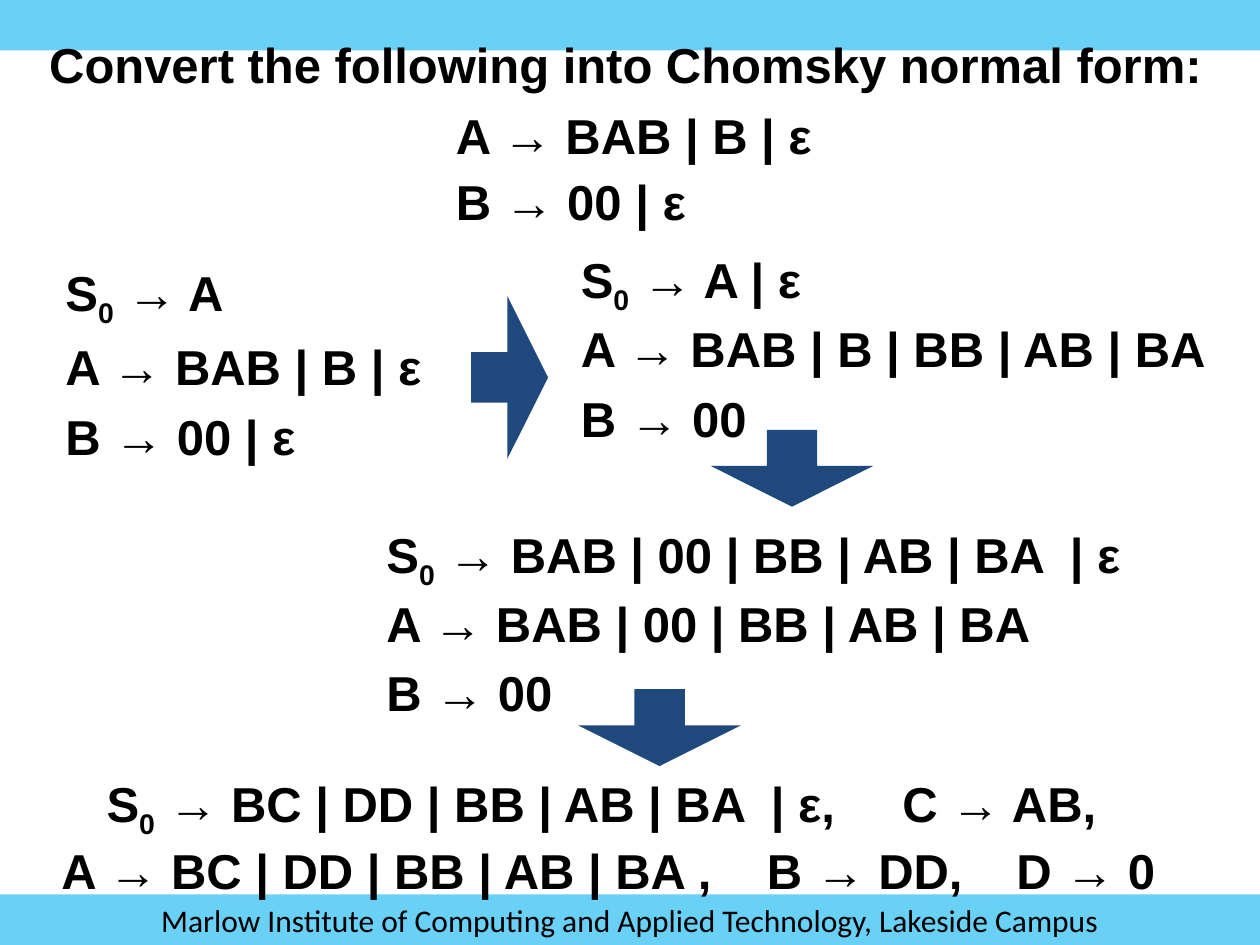
from dataclasses import dataclass
from lxml.etree import SubElement
from pptx import Presentation
from pptx.dml.color import RGBColor
from pptx.enum.shapes import MSO_SHAPE as Shape
from pptx.enum.text import MSO_ANCHOR as Anchor, MSO_AUTO_SIZE as AutoSize, PP_ALIGN as Align
from pptx.oxml.ns import qn
from pptx.util import Cm, Pt


@dataclass(frozen=True)
class Theme:
    band: str = "00B0F0"
    band_alpha: int = 59
    arrow: str = "1F497D"
    ink: str = "000000"
    body_font: str = "Arial"
    footer_font: str = "Calibri"
    body_size: int = 28
    footer_size: int = 18


class Deck:
    """Draws styled elements on the current slide."""

    def __init__(self, theme):
        self.theme = theme
        self.prs = Presentation()
        self.prs.slide_width, self.prs.slide_height = Cm(25.4), Cm(19.05)
        self.s = self.prs.slides.add_slide(self.prs.slide_layouts[6])

    def run(self, p, text, font, size, bold=False, base=0):
        r = p.add_run()
        r.text = text
        r.font.name, r.font.size, r.font.bold = font, Pt(size), bold
        r.font.color.rgb = RGBColor.from_string(self.theme.ink)
        if base:
            r.font._element.set("baseline", str(base * 1000))

    def shape(self, kind, box, color):
        sp = self.s.shapes.add_shape(kind, *map(Cm, box))
        sp.shadow.inherit = False
        sp.fill.solid()
        sp.fill.fore_color.rgb = RGBColor.from_string(color)
        sp.line.fill.background()
        return sp

    def band(self, y, text=""):
        sp = self.shape(Shape.RECTANGLE, (0, y, 25.4, 1.02), self.theme.band)
        clr = sp._element.spPr.find(qn("a:solidFill"))[0]
        SubElement(clr, qn("a:alpha")).set("val", str(self.theme.band_alpha * 1000))
        if text:
            sp.text_frame.vertical_anchor = Anchor.MIDDLE
            p = sp.text_frame.paragraphs[0]
            p.alignment = Align.CENTER
            self.run(p, text, self.theme.footer_font, self.theme.footer_size)

    def arrow(self, x, y, rotation=0):
        sp = self.shape(Shape.RIGHT_ARROW, (x, y, 1.55, 3.28), self.theme.arrow)
        sp.adjustments[0], sp.adjustments[1] = 0.31, 0.53
        sp.rotation = rotation

    def text(self, x, y, w, line, tabs=(), align=Align.LEFT):
        sp = self.s.shapes.add_textbox(Cm(x), Cm(y), Cm(w), Cm(1.45))
        tf = sp.text_frame
        tf.word_wrap = bool(tabs)
        tf.auto_size = AutoSize.SHAPE_TO_FIT_TEXT
        p = tf.paragraphs[0]
        p.alignment = align
        if tabs:
            tab_list = SubElement(p._p.get_or_add_pPr(), qn("a:tabLst"))
            for stop in tabs:
                SubElement(tab_list, qn("a:tab"), pos=str(Cm(stop)), algn="l")
        parts = [("S", 0), ("0", -25), (line[2:], 0)] if line.startswith("S0 ") else [(line, 0)]
        for part, base in parts:
            self.run(p, part, self.theme.body_font, self.theme.body_size, True, base)

    def rules(self, x, rows):
        for y, w, line, *tabs in rows:
            self.text(x, y, w, line, tabs)


deck = Deck(Theme())
deck.band(0)
deck.band(18.03, "Marlow Institute of Computing and Applied Technology, Lakeside Campus")
deck.text(0.71, 0.58, 23.8, "Convert the following into Chomsky normal form:", align=Align.CENTER)

deck.rules(8.94, [(2.01, 8, "A → BAB | B | ε "), (3.33, 5.16, "B → 00 | ε")])
deck.rules(1.07, [
    (5.16, 3.78, "S0 → A"),
    (6.65, 8, "A → BAB | B | ε "),
    (8.08, 5.16, "B → 00 | ε"),
])
deck.rules(11.46, [
    (4.9, 5.08, "S0 → A | ε"),
    (6.3, 13.49, "A → BAB | B | BB | AB | BA "),
    (7.7, 3.86, "B → 00"),
])
deck.rules(7.54, [
    (10.44, 15.8, "S0 → BAB | 00 | BB | AB | BA\t| ε", 13.78),
    (11.84, 13.87, "A → BAB | 00 | BB | AB | BA "),
    (13.23, 3.86, "B → 00"),
])
deck.rules(1.9, [(15.47, 22, "S0 → BC | DD | BB | AB | BA\t| ε,\tC → AB,", 13.39, 16.04)])
deck.rules(0.99, [(16.82, 22.81, "A → BC | DD | BB | AB | BA ,\tB → DD,\tD → 0", 14.22, 19.25)])

for x, y, rotation in [(9.5, 5.97, 0), (15.19, 7.8, 90), (12.52, 13.03, 90)]:
    deck.arrow(x, y, rotation)

deck.prs.save("out.pptx")
